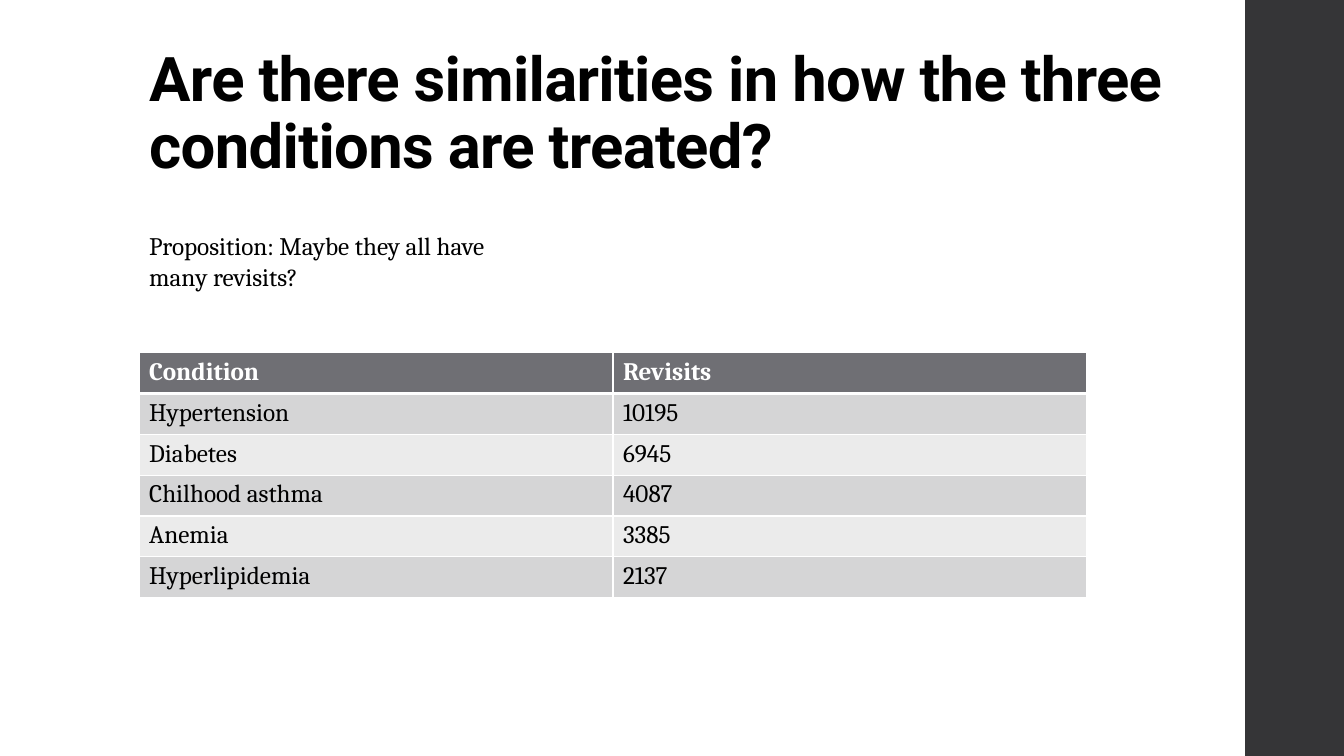
import pptx
import pptx.dml.color
import pptx.enum.shapes
import pptx.enum.text
import pptx.oxml
import pptx.oxml.ns
import pptx.util

RGB = pptx.dml.color.RGBColor
WHITE = RGB(0xFF, 0xFF, 0xFF)
BLACK = RGB(0x00, 0x00, 0x00)
DARK = RGB(0x35, 0x35, 0x37)
HEAD = RGB(0x6F, 0x6F, 0x74)
BANDS = RGB(0xD5, 0xD5, 0xD6), RGB(0xEB, 0xEB, 0xEB)

SCALE = 9144  # EMU in one px, at 100 px to the inch
LEFT = 138
ROWS = [
    ("Condition", "Revisits"),
    ("Hypertension", "10195"),
    ("Diabetes", "6945"),
    ("Chilhood asthma", "4087"),
    ("Anemia", "3385"),
    ("Hyperlipidemia", "2137"),
]


def px(*sizes):
    return [pptx.util.Emu(size * SCALE) for size in sizes]


def style(para, name, size, color, bold=False):
    font = para.font
    font.name, font.size, font.bold = name, pptx.util.Pt(size), bold
    font.color.rgb = color


def add_bar(slide):
    bar = slide.shapes.add_shape(
        pptx.enum.shapes.MSO_SHAPE.RECTANGLE, *px(1235, 0, 98, 750))
    bar.shadow.inherit = False
    bar.fill.solid()
    bar.fill.fore_color.rgb = DARK
    bar.line.fill.background()


def set_title(slide, text):
    title = slide.shapes.title
    title.left, title.top, title.width, title.height = px(LEFT, 40, 1060, 145)
    frame = title.text_frame
    frame.text = text
    frame.word_wrap = True
    frame.auto_size = pptx.enum.text.MSO_AUTO_SIZE.NONE
    frame.vertical_anchor = pptx.enum.text.MSO_ANCHOR.BOTTOM
    para = frame.paragraphs[0]
    para.alignment = pptx.enum.text.PP_ALIGN.LEFT
    para.line_spacing = 0.9
    style(para, "Roboto", 44, BLACK, True)
    para.runs[0].font._element.set("spc", "-50")


def add_note(slide, text):
    frame = slide.shapes.add_textbox(*px(LEFT, 224, 410, 71)).text_frame
    frame.word_wrap = True
    frame.text = text
    style(frame.paragraphs[0], "Cambria", 18, BLACK)


def add_edge(cell, side, width):
    """Draw a white border, its width in points, on one side of the cell."""
    cell._tc.get_or_add_tcPr().append(pptx.oxml.parse_xml(
        f'<a:ln{side} {pptx.oxml.ns.nsdecls("a")} w="{pptx.util.Pt(width)}">'
        f'<a:solidFill><a:srgbClr val="{WHITE}"/></a:solidFill></a:ln{side}>'))


def add_grid(slide, rows):
    table = slide.shapes.add_table(
        len(rows), len(rows[0]), *px(LEFT, 350, 940, 243)).table
    for i, row in enumerate(rows):
        head = i == 0
        for j, text in enumerate(row):
            cell = table.cell(i, j)
            cell.text = text
            style(cell.text_frame.paragraphs[0], "Cambria", 18,
                  WHITE if head else BLACK, head)
            for side in "LRTB":
                thick = (head and side == "B") or (i == 1 and side == "T")
                add_edge(cell, side, 3 if thick else 1)
            cell.fill.solid()
            cell.fill.fore_color.rgb = HEAD if head else BANDS[(i - 1) % 2]


def main():
    deck = pptx.Presentation()
    deck.slide_width, deck.slide_height = px(1333, 750)
    slide = deck.slides.add_slide(deck.slide_layouts[5])
    slide.background.fill.solid()
    slide.background.fill.fore_color.rgb = WHITE
    add_bar(slide)
    set_title(slide, "Are there similarities in how the three "
                     "conditions are treated?")
    add_grid(slide, ROWS)
    add_note(slide, "Proposition: Maybe they all have many revisits?")
    deck.save("out.pptx")


if __name__ == "__main__":
    main()
